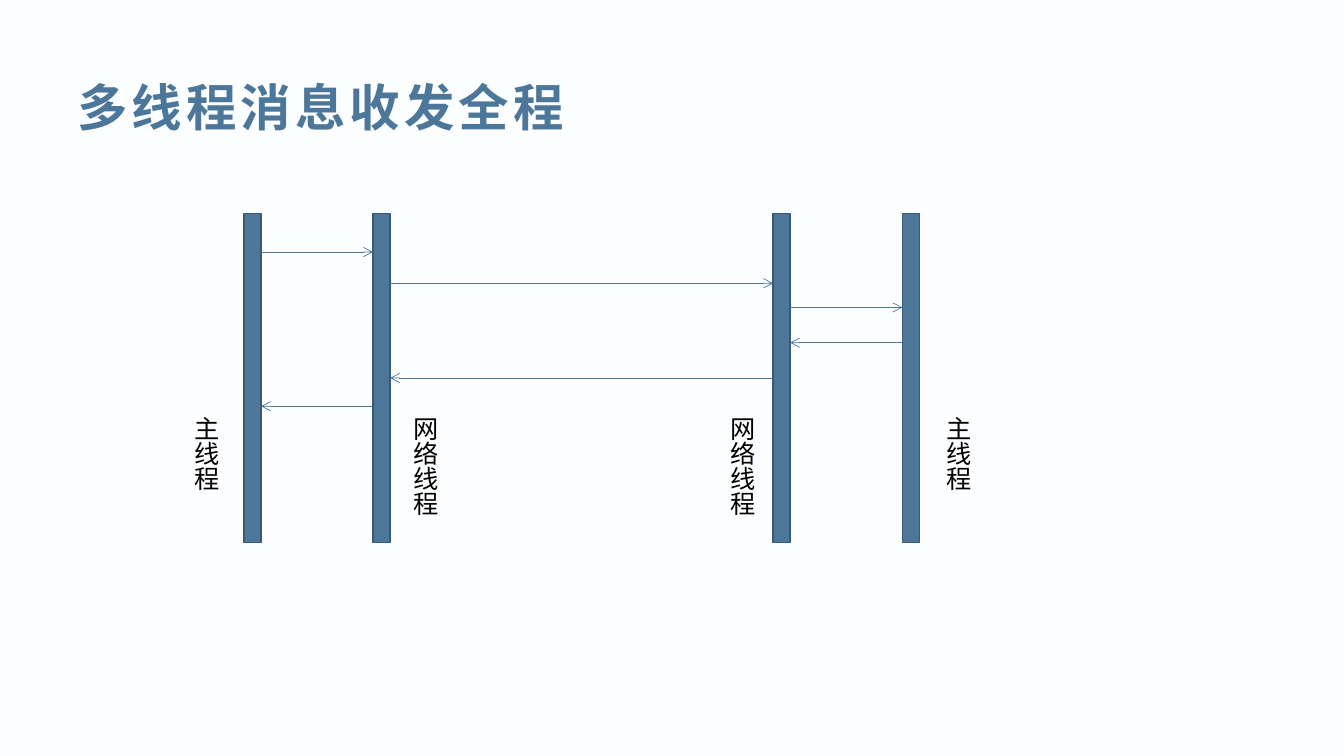
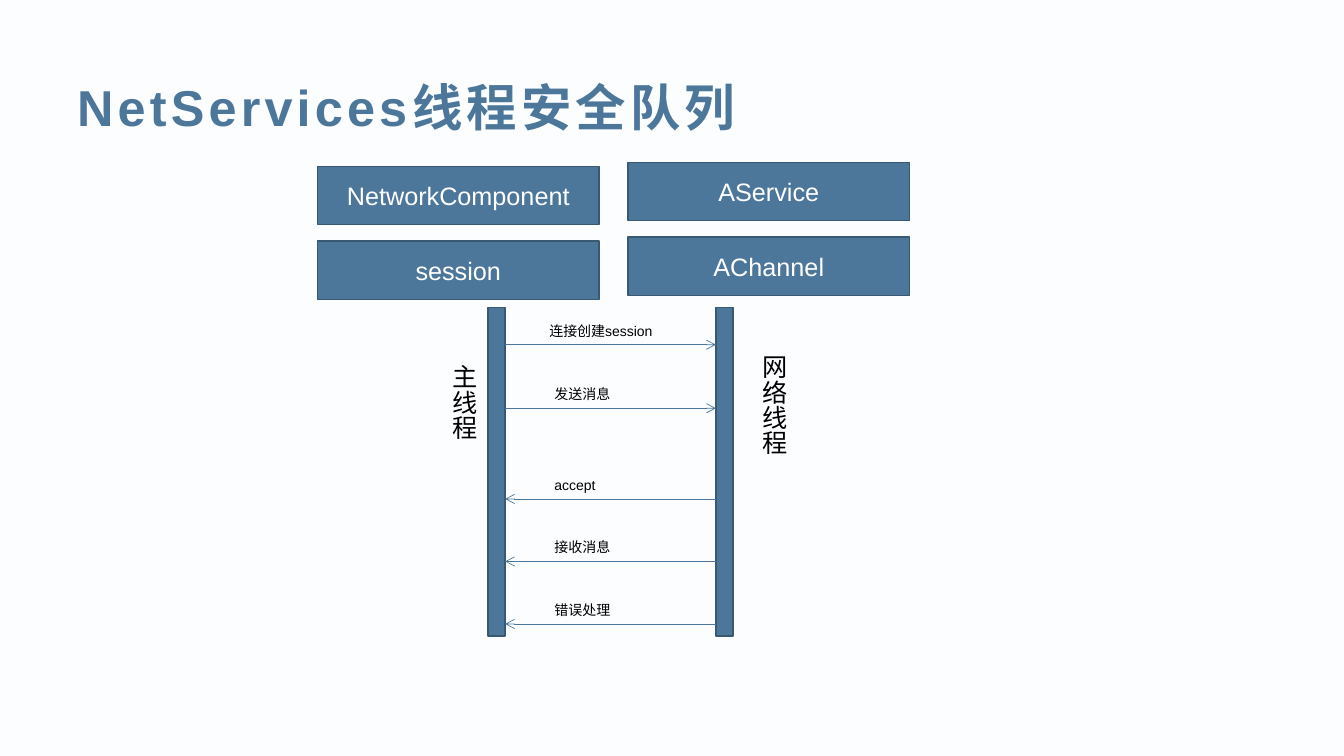
from dataclasses import dataclass

from lxml import etree
from pptx import Presentation
from pptx.dml.color import RGBColor
from pptx.enum.shapes import MSO_CONNECTOR as Connector, MSO_SHAPE as Shape
from pptx.enum.text import MSO_ANCHOR as Anchor, PP_ALIGN as Align
from pptx.oxml.ns import qn
from pptx.util import Inches, Pt


@dataclass(frozen=True)
class Theme:
    background: str = "FBFDFE"
    accent: str = "4D779A"
    outline: str = "395872"
    ink: str = "000000"
    paper: str = "FFFFFF"
    font: str = "Arial"
    title_size: int = 36
    name_size: int = 18
    message_size: int = 10
    outline_width: float = 1
    arrow_width: float = 0.5


THEME = Theme()

# Grid: 40 square cells across the slide; every length below is in cells
SLIDE_W, SLIDE_H, COLUMNS = 13.33, 7.5, 40
CELL = 1 / 3
TITLE_BOX = (2, 2, 36.84, 2.31)
LANE_W, LANE_H = 0.51, 9.78
NAME_W = 1.5
MESSAGE_W, MESSAGE_H = 4.3, 0.82
CLASS_W, CLASS_H, CLASS_STEP = 8.37, 1.74, 2.22

# Content: lanes are (column, name, name column, name row, name height);
# messages are (from lane, to lane, row, text, text column)
DIAGRAMS = [
    dict(
        title="多线程消息收发全程",
        top=6.36,
        lanes=[
            (7.26, "主线程", 5.22, 12.09, 5.94),
            (11.1, "网络线程", 11.76, 12.09, 5.94),
            (23, "网络线程", 21.18, 12.09, 5.94),
            (26.85, "主线程", 27.6, 12.09, 5.94),
        ],
        messages=[
            (0, 1, 7.5, "", 0),
            (1, 2, 8.43, "", 0),
            (2, 3, 9.15, "", 0),
            (3, 2, 10.2, "", 0),
            (2, 1, 11.25, "", 0),
            (1, 0, 12.09, "", 0),
        ],
        classes=[],
    ),
    dict(
        title="NetServices线程安全队列",
        top=9.15,
        lanes=[
            (14.52, "主线程", 12.9, 10.56, 3.12),
            (21.3, "网络线程", 22.14, 10.26, 5.04),
        ],
        messages=[
            (0, 1, 10.26, "连接创建session", 16.05),
            (0, 1, 12.15, "发送消息", 16.2),
            (1, 0, 14.85, "accept", 16.2),
            (1, 0, 16.71, "接收消息", 16.2),
            (1, 0, 18.57, "错误处理", 16.2),
        ],
        # Stacks of classes: column, first row, names
        classes=[
            (9.45, 4.95, ["NetworkComponent", "session"]),
            (18.69, 4.83, ["AService", "AChannel"]),
        ],
    ),
]


def cells(*lengths):
    return [Inches(length * CELL) for length in lengths]


def rgb(color):
    return RGBColor.from_string(color)


def write(frame, text, *, size, color=THEME.ink, bold=False, spacing=0,
          align=Align.LEFT, anchor=Anchor.TOP, vertical=False):
    frame.word_wrap = True
    frame.vertical_anchor = anchor
    if vertical:
        frame._txBody.bodyPr.set("vert", "eaVert")
    paragraph = frame.paragraphs[0]
    paragraph.alignment = align
    run = paragraph.add_run()
    run.text = text
    run.font.name, run.font.size, run.font.bold = THEME.font, Pt(size), bold
    run.font.color.rgb = rgb(color)
    if spacing:
        run._r.get_or_add_rPr().set("spc", str(spacing * 100))


def add_text(slide, box, text, **style):
    write(slide.shapes.add_textbox(*cells(*box)).text_frame, text, **style)


def add_block(slide, box):
    block = slide.shapes.add_shape(Shape.RECTANGLE, *cells(*box))
    block.shadow.inherit = False
    block.fill.solid()
    block.fill.fore_color.rgb = rgb(THEME.accent)
    block.line.color.rgb = rgb(THEME.outline)
    block.line.width = Pt(THEME.outline_width)
    return block


def add_arrow(slide, start, end, row):
    arrow = slide.shapes.add_connector(
        Connector.STRAIGHT, *cells(start, row, end, row))
    arrow.line.color.rgb = rgb(THEME.accent)
    arrow.line.width = Pt(THEME.arrow_width)
    etree.SubElement(arrow.line._get_or_add_ln(), qn("a:tailEnd"), type="arrow")
    etree.SubElement(arrow._element.spPr, qn("a:effectLst"))


def add_base(deck, title):
    slide = deck.slides.add_slide(deck.slide_layouts[6])
    slide.background.fill.solid()
    slide.background.fill.fore_color.rgb = rgb(THEME.background)
    add_text(slide, TITLE_BOX, title, size=THEME.title_size, color=THEME.accent,
             bold=True, spacing=3, anchor=Anchor.MIDDLE)
    return slide


def add_diagram(deck, diagram):
    slide = add_base(deck, diagram["title"])
    lanes = diagram["lanes"]

    # Thread lanes and their names
    for column, name, name_column, name_row, name_height in lanes:
        add_block(slide, (column, diagram["top"], LANE_W, LANE_H))
        add_text(slide, (name_column, name_row, NAME_W, name_height), name,
                 size=THEME.name_size, vertical=True)

    # Messages run between the facing edges of two lanes
    for sender, receiver, row, text, text_column in diagram["messages"]:
        start, end = lanes[sender][0], lanes[receiver][0]
        if start < end:
            start += LANE_W
        else:
            end += LANE_W
        add_arrow(slide, start, end, row)
        if text:
            add_text(slide, (text_column, row - MESSAGE_H, MESSAGE_W, MESSAGE_H),
                     text, size=THEME.message_size)

    # Class boxes above the lanes
    for column, first_row, names in diagram["classes"]:
        for level, name in enumerate(names):
            row = first_row + level * CLASS_STEP
            block = add_block(slide, (column, row, CLASS_W, CLASS_H))
            write(block.text_frame, name, size=THEME.name_size,
                  color=THEME.paper, align=Align.CENTER, anchor=Anchor.MIDDLE)


def main():
    deck = Presentation()
    deck.slide_width, deck.slide_height = Inches(SLIDE_W), Inches(SLIDE_H)
    for diagram in DIAGRAMS:
        add_diagram(deck, diagram)
    deck.save("out.pptx")


if __name__ == "__main__":
    main()
